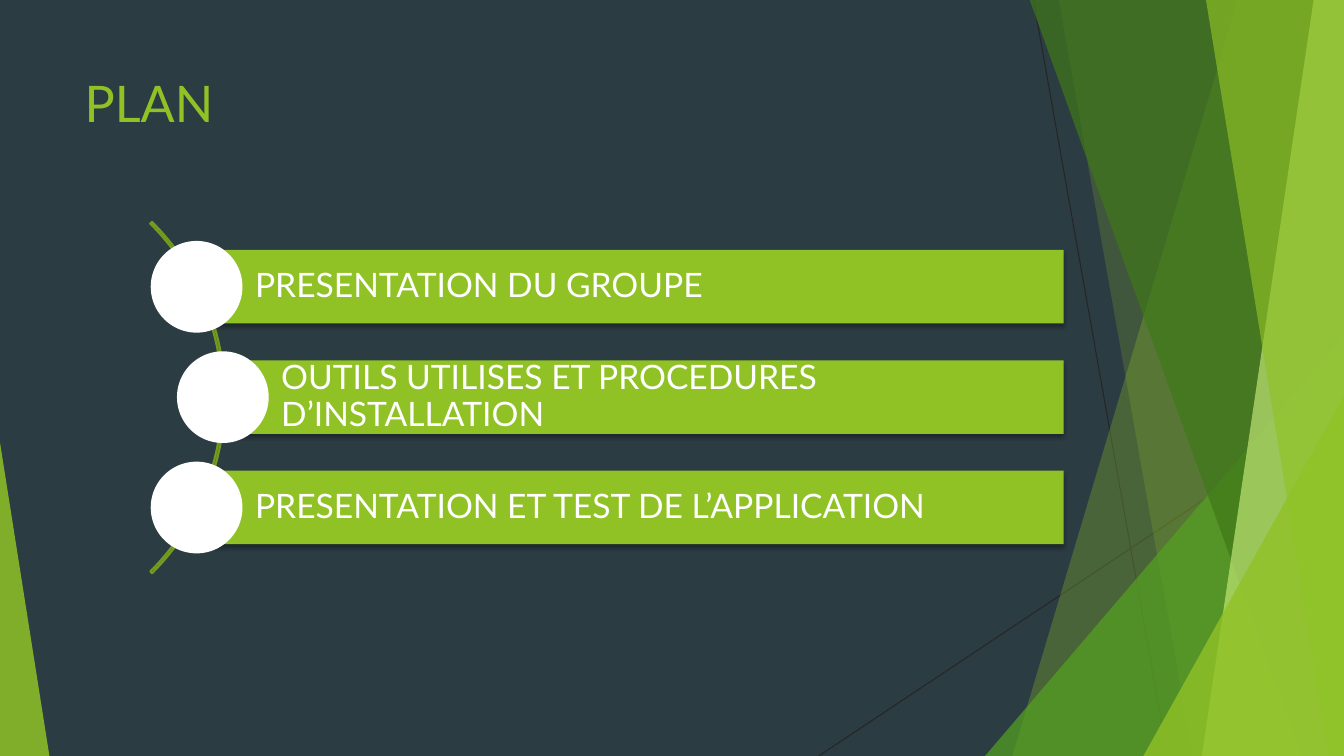
"""Build the PLAN agenda slide with its faceted green backdrop."""
from dataclasses import dataclass

from lxml import etree
from pptx import Presentation
from pptx.dml.color import RGBColor
from pptx.enum.shapes import MSO_CONNECTOR, MSO_SHAPE
from pptx.enum.text import MSO_ANCHOR
from pptx.oxml.ns import qn
from pptx.shapes.autoshape import Shape
from pptx.shapes.shapetree import SlideShapes
from pptx.text.text import TextFrame
from pptx.util import Inches, Pt

RECT = MSO_SHAPE.RECTANGLE
OVAL = MSO_SHAPE.OVAL
ARC = MSO_SHAPE.BLOCK_ARC
TRIANGLE = MSO_SHAPE.ISOSCELES_TRIANGLE
STRAIGHT = MSO_CONNECTOR.STRAIGHT
MIDDLE = MSO_ANCHOR.MIDDLE

SLATE = RGBColor(0x2C, 0x3C, 0x43)
LIME = RGBColor(0x90, 0xC2, 0x26)
GREEN = RGBColor(0x54, 0xA0, 0x21)
FOREST = RGBColor(0x3F, 0x78, 0x19)
PALE = RGBColor(0xC0, 0xE4, 0x74)
OLIVE = RGBColor(0x73, 0x9B, 0x1E)
COAL = RGBColor(0x26, 0x26, 0x26)
WHITE = RGBColor(0xFF, 0xFF, 0xFF)

FONT = "Lato"
WIDTH, HEIGHT = 13.33, 7.5
EDGE = -0.01
BAR_TOP, BAR_TALL, BAR_END, PITCH = 2.48, 0.73, 10.55, 1.095
DOT = 0.91


@dataclass
class Ray:
    start: tuple[float, float]
    end: tuple[float, float]


@dataclass
class Sheet:
    top: float
    foot: float
    hue: RGBColor
    alpha: int


@dataclass
class Wedge:
    left: float
    top: float
    width: float
    apex: float
    hue: RGBColor
    alpha: int


@dataclass
class Step:
    left: float
    text: str


RAYS = [Ray((10.25, 0), (11.58, HEIGHT)), Ray((WIDTH, 4.03), (8.12, HEIGHT))]
FACETS = [
    Sheet(12.28, 10.04, LIME, 30),
    Sheet(10.5, 11.83, LIME, 20),
    Wedge(9.77, 3.33, 3.56, 1, GREEN, 72),
    Sheet(10.21, 12.91, FOREST, 70),
    Sheet(13.03, 11.92, PALE, 70),
    Sheet(11.96, 13.18, LIME, 65),
    Wedge(11.34, 3.93, 1.99, 1, LIME, 80),
    Wedge(0, 4.39, 0.49, 0, LIME, 85),
]
STEPS = [
    Step(1.95, "PRESENTATION DU GROUPE"),
    Step(2.21, "OUTILS UTILISES ET PROCEDURES D’INSTALLATION"),
    Step(1.95, "PRESENTATION ET TEST DE L’APPLICATION"),
]


def paint(shape: Shape, hue: RGBColor, alpha: int = 100) -> None:
    shape.shadow.inherit = False
    shape.line.fill.background()
    shape.fill.solid()
    shape.fill.fore_color.rgb = hue
    if alpha < 100:
        tint = shape.fill._xPr.find(".//" + qn("a:srgbClr"))
        etree.SubElement(tint, qn("a:alpha"), val=str(alpha * 1000))


def shade(shape: Shape) -> None:
    effect = shape._element.spPr.find(qn("a:effectLst"))
    drop = etree.SubElement(
        effect, qn("a:outerShdw"), blurRad=str(Pt(3)), dist=str(Pt(2)),
        dir="5400000", algn="ctr", rotWithShape="0")
    tint = etree.SubElement(drop, qn("a:srgbClr"), val="000000")
    etree.SubElement(tint, qn("a:alpha"), val="35000")


def write(frame: TextFrame, text: str, size: int, hue: RGBColor) -> None:
    frame.text = text
    frame.word_wrap = True
    font = frame.paragraphs[0].runs[0].font
    font.name, font.size, font.color.rgb = FONT, Pt(size), hue


def draw_ray(shapes: SlideShapes, ray: Ray) -> None:
    ends = [Inches(v) for v in (*ray.start, *ray.end)]
    line = shapes.add_connector(STRAIGHT, *ends)
    line.line.color.rgb = COAL
    line.line.width = Pt(0.75)
    etree.SubElement(line._element.spPr, qn("a:effectLst"))


def draw_facet(shapes: SlideShapes, facet: Sheet | Wedge) -> None:
    if isinstance(facet, Sheet):
        spots = [(WIDTH, EDGE), (WIDTH, HEIGHT), (facet.foot, HEIGHT)]
        pen = shapes.build_freeform(Inches(facet.top), Inches(EDGE))
        pen.add_line_segments([(Inches(x), Inches(y)) for x, y in spots])
        shape = pen.convert_to_shape()
    else:
        shape = shapes.add_shape(
            TRIANGLE, Inches(facet.left), Inches(facet.top),
            Inches(facet.width), Inches(HEIGHT - facet.top))
        shape.adjustments[0] = facet.apex
    paint(shape, facet.hue, facet.alpha)


def draw_title(shapes: SlideShapes) -> None:
    box = shapes.add_textbox(Inches(0.74), Inches(0.67), Inches(9.4), Inches(1.44))
    write(box.text_frame, "PLAN", 36, LIME)


def draw_arc(shapes: SlideShapes) -> None:
    arc = shapes.add_shape(ARC, Inches(-2.7), Inches(1.48), Inches(4.93), Inches(4.93))
    for i, value in enumerate((189, 27, 0.005)):
        arc.adjustments[i] = value
    arc.shadow.inherit = False
    arc.fill.background()
    arc.line.color.rgb = OLIVE
    arc.line.width = Pt(1.5)


def draw_step(shapes: SlideShapes, step: Step, top: float) -> None:
    bar = shapes.add_shape(
        RECT, Inches(step.left), Inches(top),
        Inches(BAR_END - step.left), Inches(BAR_TALL))
    paint(bar, LIME)
    shade(bar)
    frame = bar.text_frame
    write(frame, step.text, 24, WHITE)
    frame.vertical_anchor = MIDDLE
    frame.margin_left = Inches(0.58)
    frame.margin_top = frame.margin_right = frame.margin_bottom = Inches(0.07)
    line = frame.paragraphs[0]
    line.line_spacing = 0.9
    line._p.get_or_add_pPr().set("algn", "l")
    dot = shapes.add_shape(
        OVAL, Inches(step.left - DOT / 2), Inches(top + (BAR_TALL - DOT) / 2),
        Inches(DOT), Inches(DOT))
    paint(dot, WHITE)


def main() -> None:
    deck = Presentation()
    deck.slide_width, deck.slide_height = Inches(WIDTH), Inches(HEIGHT)
    slide = deck.slides.add_slide(deck.slide_layouts[6])
    slide.background.fill.solid()
    slide.background.fill.fore_color.rgb = SLATE
    shapes = slide.shapes
    for ray in RAYS:
        draw_ray(shapes, ray)
    for facet in FACETS:
        draw_facet(shapes, facet)
    draw_title(shapes)
    draw_arc(shapes)
    for i, step in enumerate(STEPS):
        draw_step(shapes, step, BAR_TOP + i * PITCH)
    deck.save("out.pptx")


if __name__ == "__main__":
    main()
